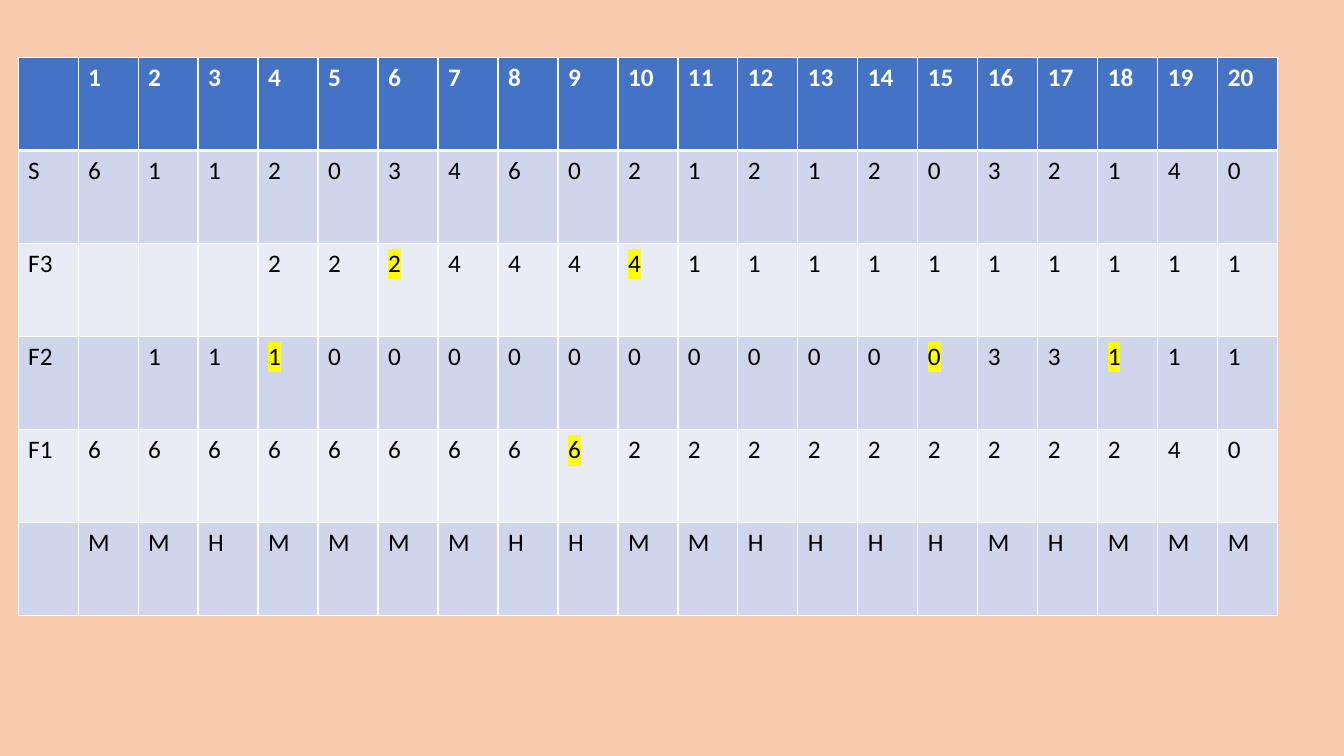
from dataclasses import dataclass

from lxml import etree
from pptx import Presentation
from pptx import util as u
from pptx.dml import color
from pptx.oxml import ns

SLIDE_WIDTH, SLIDE_HEIGHT = u.Inches(13.33), u.Inches(7.5)
REFERENCES = 20
PEACH, BLUE, WHITE, BLACK, YELLOW = "F8CBAD", "4472C4", "FFFFFF", "000000", "FFFF00"
BANDS = ("E9EBF5", "CFD5EA")


@dataclass(frozen=True)
class TraceRow:
    label: str
    values: tuple[str, ...]
    marked: tuple[int, ...] = ()


def states(symbols: str) -> tuple[str, ...]:
    return tuple(symbol.strip() for symbol in symbols.rjust(REFERENCES))


TRACE = (
    TraceRow("", tuple(str(step) for step in range(1, REFERENCES + 1))),
    TraceRow("S", states("61120346021212032140")),
    TraceRow("F3", states("222" + "4" * 4 + "1" * 10), (6, 10)),
    TraceRow("F2", states("111" + "0" * 11 + "33111"), (4, 15, 18)),
    TraceRow("F1", states("6" * 9 + "2" * 9 + "40"), (9,)),
    TraceRow("", states("MMHMMMMHHMMHHHHMHMMM")),
)


def rgb(value: str) -> color.RGBColor:
    return color.RGBColor.from_string(value)


def add_color(parent, tag: str, value: str):
    element = etree.SubElement(parent, ns.qn(tag))
    etree.SubElement(element, ns.qn("a:srgbClr"), val=value)
    return element


def draw_borders(cell, top: float, bottom: float) -> None:
    properties = cell._tc.get_or_add_tcPr()
    for side, width in {"L": 1, "R": 1, "T": top, "B": bottom}.items():
        border = etree.SubElement(properties, ns.qn(f"a:ln{side}"), w=str(u.Pt(width)))
        add_color(border, "a:solidFill", WHITE)


def highlight(run) -> None:
    properties = run._r.get_or_add_rPr()
    marker = add_color(properties, "a:highlight", YELLOW)
    properties.find(ns.qn("a:solidFill")).addnext(marker)


def write_cell(cell, content: str, row: int, marked: bool) -> None:
    header = row == 0
    draw_borders(cell, 3 if row == 1 else 1, 3 if header else 1)
    cell.fill.solid()
    cell.fill.fore_color.rgb = rgb(BLUE if header else BANDS[row % 2])
    cell.text_frame.text = content
    for run in cell.text_frame.paragraphs[0].runs:
        run.font.name = "Calibri"
        run.font.size = u.Pt(18)
        run.font.bold = header
        run.font.color.rgb = rgb(WHITE if header else BLACK)
        if marked:
            highlight(run)


def draw_trace(slide) -> None:
    column_width = u.Inches(12.5) // (REFERENCES + 1)
    row_height = u.Inches(5.54) // len(TRACE)
    trace = slide.shapes.add_table(
        len(TRACE), REFERENCES + 1, u.Inches(0.18), u.Inches(0.57),
        column_width * (REFERENCES + 1), row_height * len(TRACE),
    ).table
    for column in trace.columns:
        column.width = column_width
    for row, entry in enumerate(TRACE):
        trace.rows[row].height = row_height
        for step, content in enumerate((entry.label, *entry.values)):
            write_cell(trace.cell(row, step), content, row, step in entry.marked)


def main() -> None:
    deck = Presentation()
    deck.slide_width, deck.slide_height = SLIDE_WIDTH, SLIDE_HEIGHT
    slide = deck.slides.add_slide(deck.slide_layouts[6])
    slide.background.fill.solid()
    slide.background.fill.fore_color.rgb = rgb(PEACH)
    draw_trace(slide)
    deck.save("out.pptx")


if __name__ == "__main__":
    main()
